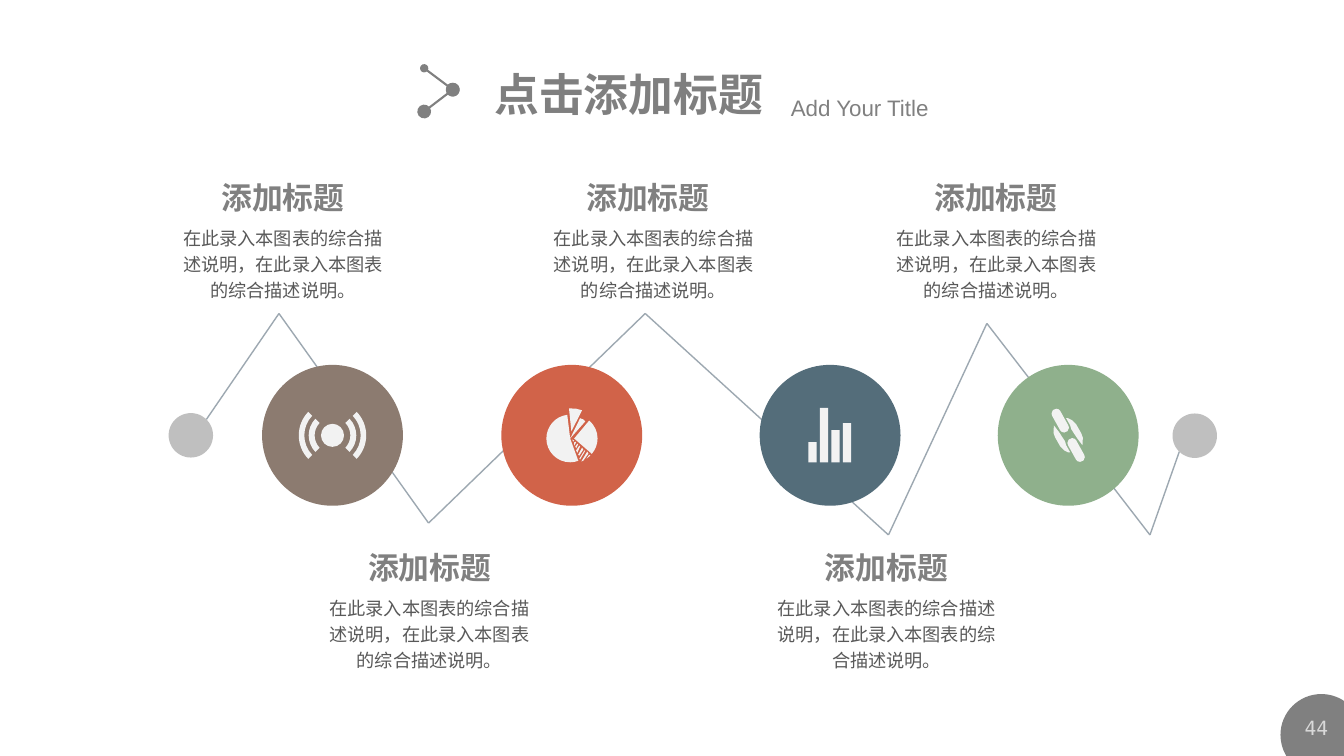
"""Build the zigzag process slide with four icon discs and five captions."""
from dataclasses import dataclass
from itertools import chain, pairwise
from math import cos, radians, sin, tan

from lxml.etree import SubElement
from pptx import Presentation
from pptx.dml.color import RGBColor as Color
from pptx.enum.shapes import MSO_CONNECTOR as Connector, MSO_SHAPE as Preset
from pptx.enum.text import PP_ALIGN as Align
from pptx.oxml.ns import qn
from pptx.util import Cm, Pt

Point = tuple[float, float]
Segment = tuple[Point, ...]
Contour = list[Segment]


@dataclass(frozen=True)
class Theme:
    grey: str = "808080"
    title_grey: str = "7F7F7F"
    body_grey: str = "595959"
    page_grey: str = "D9D9D9"
    end_grey: str = "BFBFBF"
    zigzag: str = "9DA8B1"
    icon: str = "F2F2F2"
    brown: str = "8C7B70"
    red: str = "D16349"
    blue: str = "546D7A"
    green: str = "8FB08C"
    latin: str = "Arial"
    chinese: str = "Noto Sans CJK SC"
    mono: str = "DejaVu Sans Mono"
    title_size: int = 32
    heading_size: int = 22
    subtitle_size: int = 16
    page_size: int = 14
    body_size: int = 13


@dataclass(frozen=True)
class TextStyle:
    size: int
    font: str
    color: str
    bold: bool = False
    align: Align = Align.CENTER
    spacing: float = 1.0
    wrap: bool = True


@dataclass(frozen=True)
class Caption:
    center: float
    body_center: float
    body_width: float
    top: float


@dataclass(frozen=True)
class IconDisc:
    center: float
    color: str
    contours: list[Contour]


THEME = Theme()
WIDTH, HEIGHT = 33.87, 19.05
UPPER, LOWER = 4.39, 13.71
AXIS = 10.97
DISC, END_DISC = 3.55, 1.12
TITLE = TextStyle(THEME.title_size, THEME.latin, THEME.title_grey, True, Align.LEFT, wrap=False)
SUBTITLE = TextStyle(THEME.subtitle_size, THEME.latin, THEME.grey, align=Align.LEFT)
HEADING = TextStyle(THEME.heading_size, THEME.chinese, THEME.grey, True, wrap=False)
BODY = TextStyle(THEME.body_size, THEME.chinese, THEME.body_grey, spacing=1.2)
PAGE = TextStyle(THEME.page_size, THEME.mono, THEME.page_grey)

CAPTIONS = [
    Caption(7.13, 7.13, 5.89, UPPER),
    Caption(10.83, 10.82, 5.89, LOWER),
    Caption(16.33, 16.47, 5.61, UPPER),
    Caption(25.1, 25.11, 5.89, UPPER),
    Caption(22.34, 22.34, 6.4, LOWER),
]
ZIGZAG = [(5.2, 10.57), (7.03, 7.9), (10.8, 13.18), (16.26, 7.9),
          (22.39, 13.48), (24.87, 8.15), (28.98, 13.48), (29.72, 11.38)]
END_CENTERS = [(30.11, 10.98), (4.81, AXIS)]
TITLE_MARK = [(10.69, 1.72), (11.41, 2.26), (10.69, 2.81)]


def polygon(*points: Point) -> Contour:
    """Return straight segments through the points."""
    return [(point,) for point in points]


def arc(radius: float, start: int, end: int, center: Point = (0, 0)) -> Contour:
    """Return a line to an arc and its curves, cut at the quarter turns."""
    low, high = sorted((start, end))
    cuts = [low, *(a for a in range(-360, 361, 90) if low < a < high), high]
    angles = [radians(a) for a in (cuts if start < end else reversed(cuts))]

    def at(angle: float, tangent: float = 0) -> Point:
        """Return an arc point moved along its tangent."""
        return (center[0] + radius * (cos(angle) - tangent * sin(angle)),
                center[1] + radius * (sin(angle) + tangent * cos(angle)))

    curves = [(at(a, 4 / 3 * tan((b - a) / 4)), at(b, -4 / 3 * tan((b - a) / 4)), at(b))
              for a, b in pairwise(angles)]
    return [(at(angles[0]),), *curves]


def shifted(contour: Contour, dx: float, dy: float) -> Contour:
    """Return the contour moved by dx and dy."""
    return [tuple((x + dx, y + dy) for x, y in segment) for segment in contour]


def signal_icon() -> list[Contour]:
    """Return a dot with two wave bands on each side."""
    bands = [arc(outer, side - 44, side + 44) + arc(inner, side + 44, side - 44)
             for inner, outer in [(0.45, 0.6), (0.71, 0.85)] for side in (0, 180)]
    return [arc(0.29, 0, 360), *bands]


def pie_icon() -> list[Contour]:
    """Return a pie with pulled slices and one hatched slice."""
    hub = polygon((0, 0))
    parts = [
        hub + arc(0.6, 70, 263),
        hub + polygon((0.25, -0.51), (0.33, -0.48), (0.38, -0.43)),
        polygon((0.1, 0)) + arc(0.59, -50, 41, (0.1, 0)),
        polygon((0.03, -0.18), (-0.03, -0.76), (0.15, -0.75), (0.3, -0.71)),
        polygon((0.51, 0.43), (0.41, 0.51), (0.48, 0.41)),
        polygon((0.33, 0.56), (0.46, 0.38), (0.43, 0.33), (0.28, 0.58)),
        polygon((0.25, 0.53), (0.38, 0.31), (0.36, 0.3), (0.23, 0.51)),
        polygon((0.23, 0.43), (0.33, 0.28), (0.3, 0.23), (0.2, 0.41)),
        polygon((0.18, 0.36), (0.25, 0.2), (0.23, 0.18), (0.15, 0.3)),
        polygon((0.15, 0.25), (0.2, 0.15), (0.18, 0.13), (0.13, 0.2)),
        polygon((0.1, 0.18), (0.15, 0.1), (0.13, 0.08), (0.1, 0.1)),
        polygon((0.08, 0.08), (0.05, 0.03), (0.1, 0.05)),
    ]
    return [shifted(part, -0.04, 0.08) for part in parts]


def bars_icon() -> list[Contour]:
    """Return four columns standing on one base line."""
    base, width, pitch = 0.68, 0.21, 0.29
    return [polygon((x, base), (x, base - height), (x + width, base - height), (x + width, base))
            for x, height in ((-0.55 + i * pitch, h) for i, h in enumerate([0.51, 1.37, 0.81, 0.99]))]


def link_icon() -> list[Contour]:
    """Return two chain links, the second being the first turned half round."""
    capsule = arc(0.12, 150, 330, (-0.3, -0.55)) + arc(0.12, -30, 150, (-0.1, -0.19))
    crescent = polygon((-0.05, -0.43), (0, -0.43), (0.1, -0.38), (0.2, -0.28), (0.33, -0.05),
                       (0.37, 0.06), (0.36, 0.25), (0.23, 0.08), (0.08, -0.15), (0.05, -0.25))
    half = [capsule, crescent]
    return half + [[tuple((-x, -y) for x, y in segment) for segment in part] for part in half]


def set_fill(shape, color: str) -> None:
    """Give a shape a plain fill without line or shadow."""
    shape.shadow.inherit = False
    shape.fill.solid()
    shape.fill.fore_color.rgb = Color.from_string(color)
    shape.line.fill.background()


def add_disc(shapes, center: Point, diameter: float, color: str) -> None:
    """Draw a filled circle around a center."""
    left, top = (value - diameter / 2 for value in center)
    set_fill(shapes.add_shape(Preset.OVAL, Cm(left), Cm(top), Cm(diameter), Cm(diameter)), color)


def add_outline(shapes, contours: list[Contour], color: str) -> None:
    """Draw closed contours as one freeform, merging point triples into curves."""
    paths = [[(Cm(x), Cm(y)) for x, y in chain(*contour)] for contour in contours]
    builder = shapes.build_freeform(*paths[0][0])
    for index, points in enumerate(paths):
        if index:
            builder.move_to(*points[0])
        builder.add_line_segments(points[1:], close=True)
    shape = builder.convert_to_shape()
    lines = shape._element.iter(qn("a:lnTo"))
    targets = iter(list(lines))
    for segment in chain.from_iterable(contour[1:] for contour in contours):
        first, *others = [next(targets) for _ in segment]
        if others:
            first.tag = qn("a:cubicBezTo")
            for other in others:
                first.append(other[0])
                other.getparent().remove(other)
    set_fill(shape, color)


def add_line(shapes, start: Point, end: Point, color: str, width: float):
    """Draw a straight connector without shadow."""
    line = shapes.add_connector(Connector.STRAIGHT, *(Cm(value) for value in (*start, *end)))
    line.line.color.rgb = Color.from_string(color)
    line.line.width = Pt(width)
    SubElement(line._element.spPr, qn("a:effectLst"))
    return line


def add_text(shapes, text: str, box: tuple[float, ...], style: TextStyle) -> None:
    """Draw a one-paragraph text box."""
    frame = shapes.add_textbox(*(Cm(value) for value in box)).text_frame
    frame.word_wrap = style.wrap
    paragraph = frame.paragraphs[0]
    paragraph.text = text
    paragraph.alignment, paragraph.line_spacing = style.align, style.spacing
    font = paragraph.font
    font.size, font.bold, font.name = Pt(style.size), style.bold, style.font
    font.color.rgb = Color.from_string(style.color)
    SubElement(paragraph._p.pPr.find(qn("a:defRPr")), qn("a:ea"), typeface=THEME.chinese)


def add_caption(shapes, caption: Caption) -> None:
    """Draw a heading with its description below."""
    add_text(shapes, "添加标题", (caption.center - 1.83, caption.top, 3.66, 1.19), HEADING)
    left = caption.body_center - caption.body_width / 2
    add_text(shapes, "在此录入本图表的综合描述说明，在此录入本图表的综合描述说明。",
             (left, caption.top + 1.1, caption.body_width, 2.21), BODY)


def add_title_mark(shapes) -> None:
    """Draw the angled mark whose first dot is smaller."""
    for (start, end), head in zip(pairwise(TITLE_MARK), ("med", "lg")):
        outline = add_line(shapes, start, end, THEME.grey, 1.5).line._get_or_add_ln()
        for tag, size in (("a:headEnd", head), ("a:tailEnd", "lg")):
            SubElement(outline, qn(tag), type="oval", w=size, len=size)


def main() -> None:
    """Build the slide and save it."""
    presentation = Presentation()
    presentation.slide_width, presentation.slide_height = Cm(WIDTH), Cm(HEIGHT)
    shapes = presentation.slides.add_slide(presentation.slide_layouts[6]).shapes
    add_outline(shapes, [arc(1.03, 149, 304, (33.3, 18.52)) + polygon((WIDTH, HEIGHT))], THEME.grey)
    add_text(shapes, "44", (32.54, 17.91, 1.27, 0.79), PAGE)
    for start, end in pairwise(ZIGZAG):
        add_line(shapes, start, end, THEME.zigzag, 1)
    for center in END_CENTERS:
        add_disc(shapes, center, END_DISC, THEME.end_grey)
    for disc in (IconDisc(14.41, THEME.red, pie_icon()), IconDisc(26.92, THEME.green, link_icon()),
                 IconDisc(8.38, THEME.brown, signal_icon()), IconDisc(20.92, THEME.blue, bars_icon())):
        add_disc(shapes, (disc.center, AXIS), DISC, disc.color)
        add_outline(shapes, [shifted(part, disc.center, AXIS) for part in disc.contours], THEME.icon)
    for caption in CAPTIONS:
        add_caption(shapes, caption)
    add_text(shapes, "点击添加标题", (12.21, 1.56, 7.37, 1.63), TITLE)
    add_text(shapes, "Add Your Title", (19.68, 2.26, 6.4, 0.94), SUBTITLE)
    add_title_mark(shapes)
    presentation.save("out.pptx")


if __name__ == "__main__":
    main()
